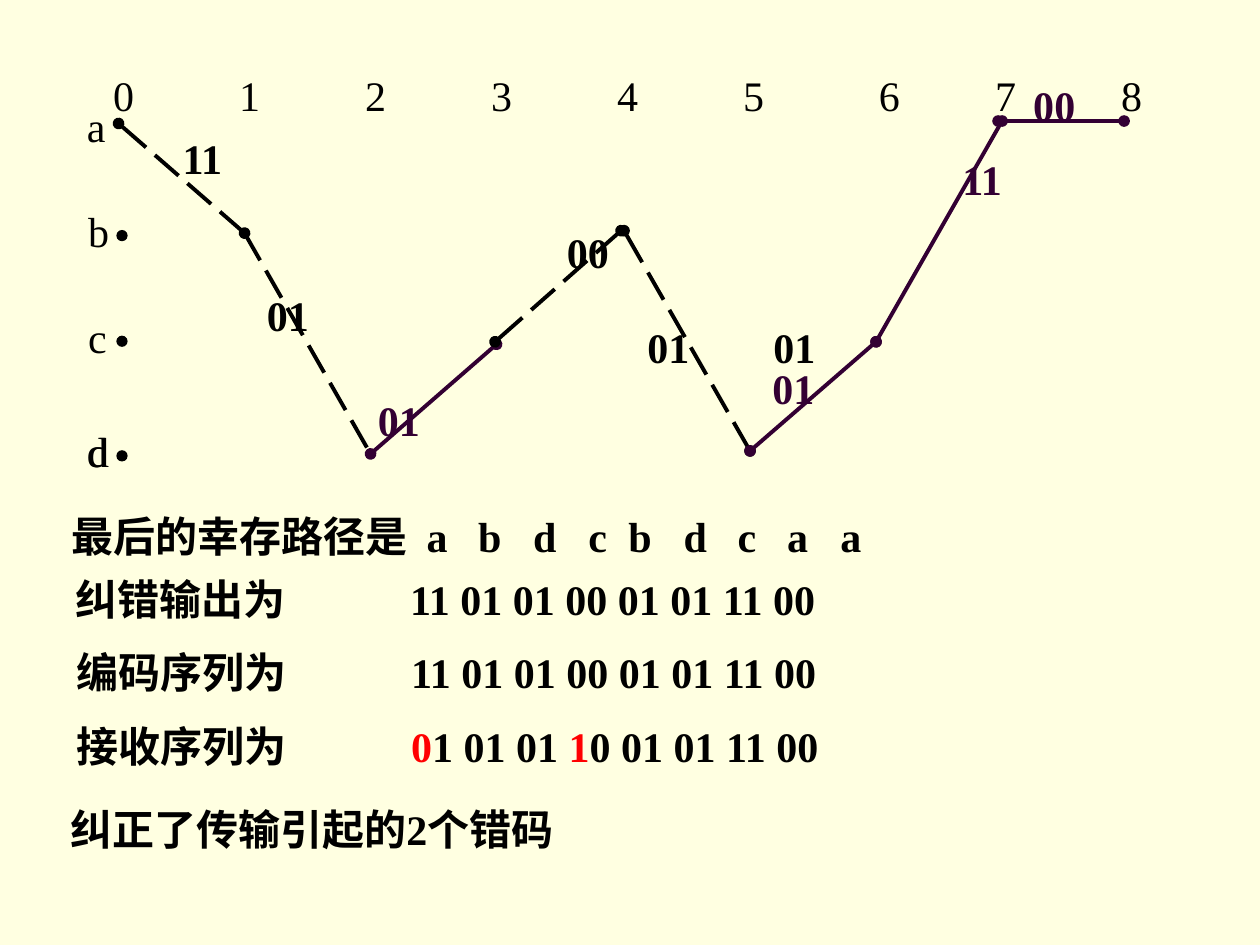
from lxml.etree import SubElement
from pptx import Presentation
from pptx.dml.color import RGBColor
from pptx.enum.dml import MSO_LINE
from pptx.enum.shapes import MSO_CONNECTOR, MSO_SHAPE
from pptx.enum.text import MSO_AUTO_SIZE
from pptx.oxml.ns import qn
from pptx.util import Cm, Pt

BLACK, PURPLE, RED = "000000", "330033", "FF0000"
STEP = 2.54  # width of one trellis stage
LINE_H = 1.27


def rgb(value):
    return RGBColor.from_string(value)


def add_text(s, text, x, y, w, color=BLACK, bold=False, wrap=False, tabs=()):
    """Text is a string, or a list of (text, colour) runs."""
    sp = s.shapes.add_textbox(Cm(x), Cm(y), Cm(w), Cm(LINE_H))
    tf = sp.text_frame
    tf.word_wrap = wrap
    tf.auto_size = MSO_AUTO_SIZE.SHAPE_TO_FIT_TEXT
    p = tf.paragraphs[0]
    if tabs:
        tab_list = SubElement(p._p.get_or_add_pPr(), qn("a:tabLst"))
        for pos in tabs:
            SubElement(tab_list, qn("a:tab"), pos=str(int(Cm(pos))), algn="l")
    for part, part_color in [(text, color)] if isinstance(text, str) else text:
        r = p.add_run()
        r.text = part
        r.font.name = "Times New Roman"
        r.font.size = Pt(24)
        r.font.bold = bold
        r.font.color.rgb = rgb(part_color)


def add_branch(s, x, y0, y1, color, dashed, dots=True):
    c = s.shapes.add_connector(MSO_CONNECTOR.STRAIGHT,
                               Cm(x), Cm(y0), Cm(x + STEP), Cm(y1))
    c.line.color.rgb = rgb(color)
    c.line.width = Pt(2.25)
    if dashed:
        c.line.dash_style = MSO_LINE.LONG_DASH
    if dots:
        for end in ("a:headEnd", "a:tailEnd"):
            SubElement(c.line._get_or_add_ln(), qn(end), type="oval")
    SubElement(c._element.spPr, qn("a:effectLst"))


def add_dot(s, x, y, size=0.2):
    sp = s.shapes.add_shape(MSO_SHAPE.OVAL, Cm(x), Cm(y), Cm(size), Cm(size))
    sp.shadow.inherit = False
    sp.fill.solid()
    sp.fill.fore_color.rgb = rgb(BLACK)
    sp.line.color.rgb = rgb(BLACK)
    sp.line.width = Pt(0.75)


def add_trellis(s, left, top):
    # Stage numbers; stage 6 sits slightly to the right
    stops = [STEP * i + (0.2 if i == 6 else 0) for i in range(1, 9)]
    add_text(s, "\t".join(str(i) for i in range(9)), left - 0.36, top - 1.17,
             21.6, wrap=True, tabs=stops)

    # State names and their dots
    for name, x, y in [("a", -0.89, -0.53), ("b", -0.86, 1.57),
                       ("c", -0.86, 3.71), ("d", -0.86, 6.02),
                       ("d", -0.89, 6.02)]:
        add_text(s, name, left + x, top + y, 0.9)
    for y in (2.21, 4.34, 6.65):
        add_dot(s, left - 0.03, top + y)

    # Branches, dashed for input 1 and solid for input 0
    for x, y0, y1, color, dots in [
        (0, 0.05, 2.26, BLACK, True),
        (2.54, 2.26, 6.71, BLACK, False),
        (5.08, 6.71, 4.5, PURPLE, True),
        (7.59, 4.45, 2.21, BLACK, True),
        (10.19, 2.21, 6.65, BLACK, True),
        (12.73, 6.65, 4.45, PURPLE, True),
        (15.27, 4.45, 0, PURPLE, True),
        (17.73, 0, 0, PURPLE, True),
    ]:
        add_branch(s, left + x, top + y0, top + y1, color,
                   dashed=color == BLACK, dots=dots)

    # Branch outputs
    for code, x, y, color in [
        ("11", 1.04, 0.1, BLACK), ("01", 2.74, 3.28, BLACK),
        ("01", 4.98, 5.38, PURPLE), ("00", 8.79, 2.01, BLACK),
        ("01", 10.41, 3.91, BLACK), ("01", 12.95, 3.91, BLACK),
        ("01", 12.93, 4.75, PURPLE), ("11", 16.76, 0.53, PURPLE),
        ("00", 18.19, -0.97, PURPLE),
    ]:
        # The fourth output has a wider box
        wide = code == "00" and color == BLACK
        add_text(s, code, left + x, top + y, 1.78 if wide else 1.35,
                 color=color, bold=True, wrap=wide)


def add_results(s, left, top):
    path_tabs = (7.16, 8.2, 9.31, 10.42, 11.23, 12.34, 13.43, 14.43, 15.5)
    code_tabs = (6.75,)
    code = "11 01 01 00 01 01 11 00"
    received = [("接收序列为\t", BLACK), ("0", RED), ("1 01 01 ", BLACK),
                ("1", RED), ("0 01 01 11 00", BLACK)]
    for text, x, y, w, tabs in [
        ("最后的幸存路径是\t" + "\t".join("abdcbdcaa"), 0, 0, 17.5, path_tabs),
        ("纠错输出为\t" + code, 0.08, 1.27, 23.5, code_tabs),
        ("编码序列为\t" + code, 0.1, 2.74, 15.93, code_tabs),
        (received, 0.1, 4.24, 15.93, code_tabs),
        ("纠正了传输引起的2个错码", -0.02, 5.92, 11.2, ()),
    ]:
        add_text(s, text, left + x, top + y, w, bold=True, wrap=True,
                 tabs=tabs)


def main():
    prs = Presentation()
    prs.slide_width, prs.slide_height = Cm(25.4), Cm(19.05)
    s = prs.slides.add_slide(prs.slide_layouts[6])
    s.background.fill.solid()
    s.background.fill.fore_color.rgb = rgb("FFFFE1")
    add_trellis(s, 2.39, 2.44)
    add_results(s, 1.19, 10.16)
    prs.save("out.pptx")


if __name__ == "__main__":
    main()
